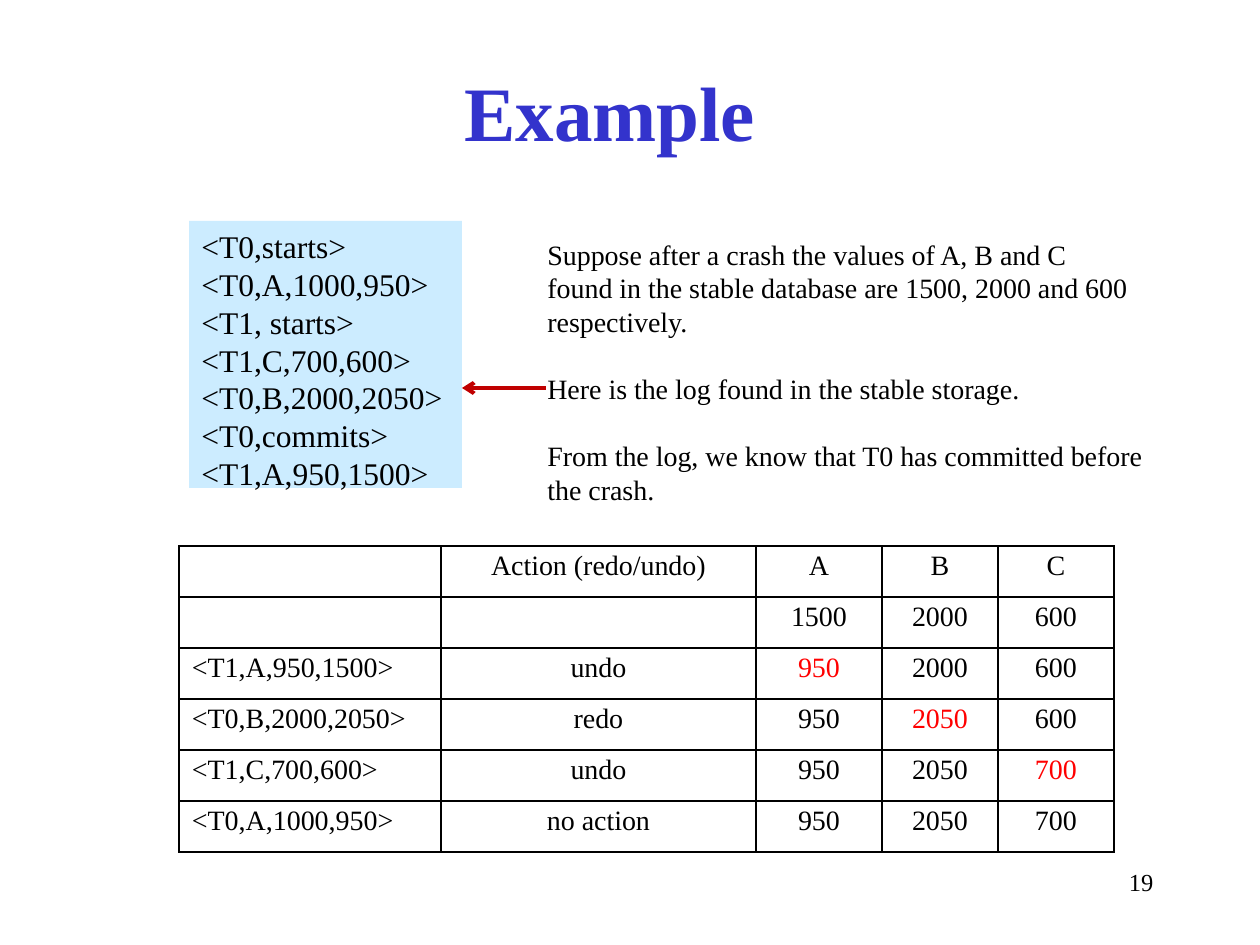
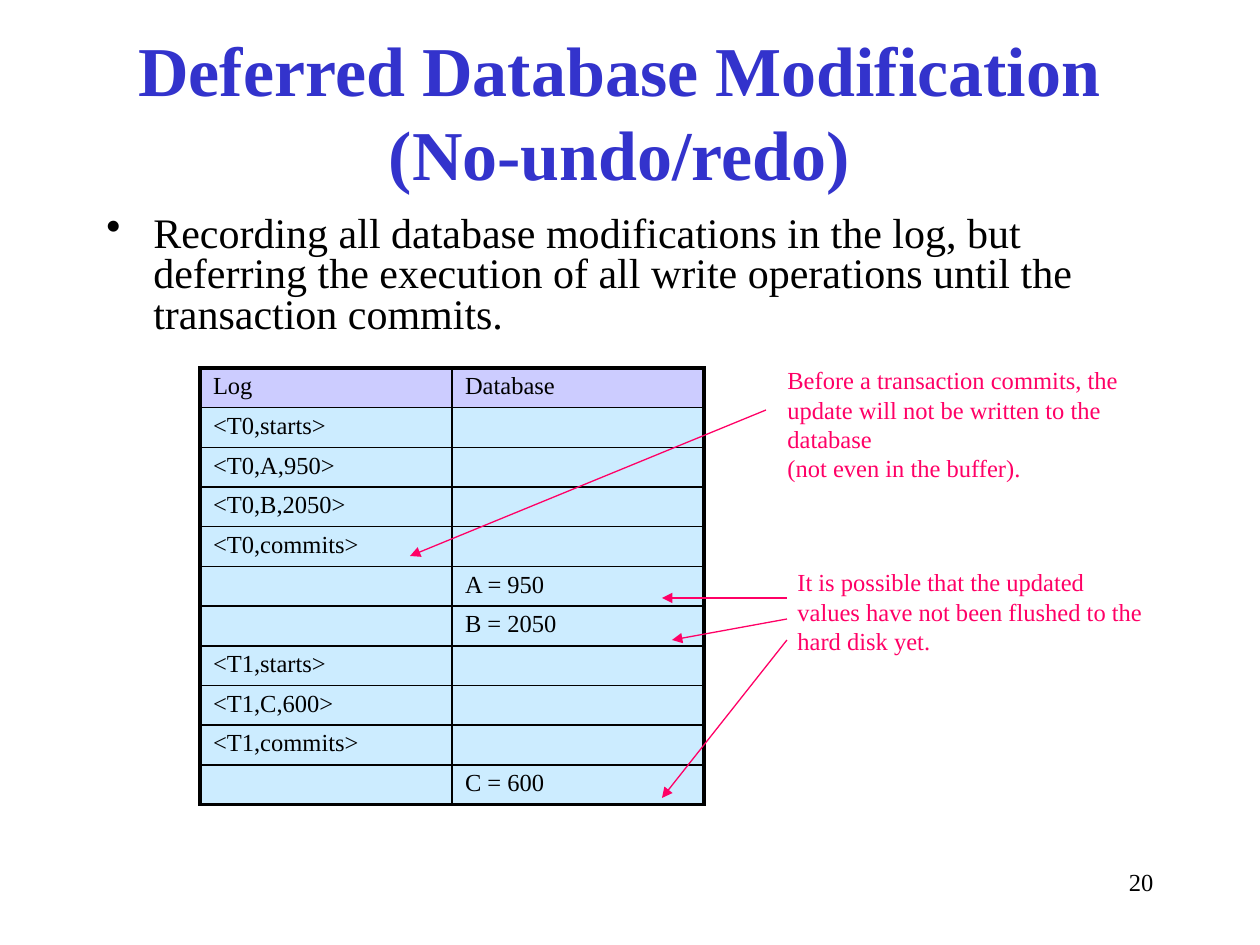
from lxml import etree
from pptx import Presentation
from pptx.dml.color import RGBColor
from pptx.enum.shapes import MSO_CONNECTOR, MSO_SHAPE
from pptx.enum.text import MSO_ANCHOR, MSO_AUTO_SIZE, PP_ALIGN
from pptx.oxml.ns import qn
from pptx.util import Emu, Pt

FONT = "Times New Roman"
LINE_HEIGHT = 1.2
COLOURS = {
    "title": "3333CC",
    "text": "000000",
    "log": "CCECFF",
    "header": "CCCCFF",
    "changed": "FF0000",
    "pointer": "C00000",
    "remark": "FF0066",
}


def px(length):
    """Convert pixels (126 to the inch) to EMU."""
    return Emu(round(length * 914400 / 126))


def box(*lengths):
    return [px(length) for length in lengths]


def rgb(name):
    return RGBColor.from_string(COLOURS[name])


# Text
def add_run(paragraph, text, size, colour="text", bold=False):
    run = paragraph.add_run()
    run.text = text
    formats = {"name": FONT, "size": Pt(size), "bold": bold}
    for attribute, value in formats.items():
        setattr(run.font, attribute, value)
    run.font.color.rgb = rgb(colour)


def write_blocks(frame, blocks, size, colour="text", align=PP_ALIGN.LEFT):
    """Write blocks of lines, with one line of space between blocks."""
    formats = {
        "word_wrap": True,
        "auto_size": MSO_AUTO_SIZE.NONE,
        "vertical_anchor": MSO_ANCHOR.TOP,
    }
    for attribute, value in formats.items():
        setattr(frame, attribute, value)
    paragraph = None
    for block in blocks:
        for position, line in enumerate(block):
            is_first = paragraph is None
            paragraph = frame.paragraphs[0] if is_first else frame.add_paragraph()
            paragraph.alignment = align
            if position == 0 and not is_first:
                paragraph.space_before = Pt(size * LINE_HEIGHT)
            add_run(paragraph, line, size, colour)


def add_note(slide, bounds, blocks, size, colour="text", align=PP_ALIGN.LEFT):
    note = slide.shapes.add_textbox(*box(*bounds))
    write_blocks(note.text_frame, blocks, size, colour, align)
    return note


def add_bullet(slide, bounds, text, size):
    note = add_note(slide, bounds, [[text]], size)
    paragraph = note.text_frame.paragraphs[0]
    paragraph.line_spacing = 0.8
    properties = paragraph._p.get_or_add_pPr()
    properties.set("marL", str(px(47)))
    properties.set("indent", str(px(-47)))
    etree.SubElement(properties, qn("a:buChar"), char="•")


def add_titled_slide(deck, title_text, title_size, number):
    """Add a slide with the shared title style and page number."""
    slide = deck.slides.add_slide(deck.slide_layouts[5])
    title = slide.shapes.title
    title.left, title.top, title.width, title.height = box(84, 32, 1071, 157)
    frame = title.text_frame
    formats = {
        "word_wrap": True,
        "auto_size": MSO_AUTO_SIZE.NONE,
        "vertical_anchor": MSO_ANCHOR.MIDDLE,
    }
    for attribute, value in formats.items():
        setattr(frame, attribute, value)
    frame.paragraphs[0].alignment = PP_ALIGN.CENTER
    add_run(frame.paragraphs[0], title_text, title_size, "title", bold=True)
    add_note(slide, (903, 861, 263, 63), [[str(number)]], 14, align=PP_ALIGN.RIGHT)
    return slide


# Shapes and arrows
def add_log_panel(slide, bounds, lines):
    panel = slide.shapes.add_shape(MSO_SHAPE.RECTANGLE, *box(*bounds))
    panel.shadow.inherit = False
    panel.fill.solid()
    panel.fill.fore_color.rgb = rgb("log")
    panel.line.fill.background()
    write_blocks(panel.text_frame, [lines], 18)


def add_arrow(slide, start, end, colour, width, head):
    arrow = slide.shapes.add_connector(MSO_CONNECTOR.STRAIGHT, *box(*start, *end))
    arrow.line.color.rgb = rgb(colour)
    arrow.line.width = Pt(width)
    etree.SubElement(arrow.line._get_or_add_ln(), qn("a:tailEnd"), type=head)
    etree.SubElement(arrow._element.spPr, qn("a:effectLst"))


# Tables
def set_borders(cell, widths):
    properties = cell._tc.get_or_add_tcPr()
    for side in "LRTB":
        border = etree.SubElement(
            properties, qn(f"a:ln{side}"), w=str(Pt(widths[side]))
        )
        fill = etree.SubElement(border, qn("a:solidFill"))
        etree.SubElement(fill, qn("a:srgbClr"), val=COLOURS["text"])


def add_grid(slide, left, top, column_widths, height, rows, size, look, outer=1):
    """Draw a table; look(row, column) gives text colour, fill and alignment."""
    table = slide.shapes.add_table(
        len(rows), len(column_widths), *box(left, top, sum(column_widths), height)
    ).table
    for flag in ("first_row", "horz_banding"):
        setattr(table, flag, False)
    for column, width in zip(table.columns, column_widths):
        column.width = px(width)
    margins = {
        "margin_left": px(13),
        "margin_right": px(13),
        "margin_top": px(5),
        "margin_bottom": px(4),
    }
    last_row, last_column = len(rows) - 1, len(column_widths) - 1
    for r, values in enumerate(rows):
        table.rows[r].height = px(height / len(rows))
        for c, text in enumerate(values):
            cell = table.cell(r, c)
            for attribute, value in margins.items():
                setattr(cell, attribute, value)
            edges = {"L": c == 0, "R": c == last_column, "T": r == 0, "B": r == last_row}
            set_borders(cell, {s: outer if edge else 1 for s, edge in edges.items()})
            colour, fill, align = look(r, c)
            if fill:
                cell.fill.solid()
                cell.fill.fore_color.rgb = rgb(fill)
            else:
                cell.fill.background()
            paragraph = cell.text_frame.paragraphs[0]
            paragraph.alignment = align
            if text:
                add_run(paragraph, text, size, colour)
            else:
                # Keeps the row of an empty cell as low as its neighbours
                paragraph._p.get_or_add_endParaRPr().set("sz", str(size * 100))


# Slides
def build_example(deck):
    slide = add_titled_slide(deck, "Example ", 44, 19)
    add_log_panel(slide, (189, 221, 273, 267), [
        "<T0,starts>",
        "<T0,A,1000,950>",
        "<T1, starts>",
        "<T1,C,700,600>",
        "<T0,B,2000,2050>",
        "<T0,commits>",
        "<T1,A,950,1500>",
    ])
    add_note(slide, (535, 231, 640, 285), [
        [
            "Suppose after a crash the values of A, B and C",
            "found in the stable database are 1500, 2000 and 600",
            "respectively.",
        ],
        ["Here is the log found in the stable storage."],
        ["From the log, we know that T0 has committed before", "the crash."],
    ], 16)
    add_arrow(slide, (546, 388), (462, 388), "pointer", 2.25, "arrow")

    recovery = [
        ["", "Action (redo/undo)", "A", "B", "C"],
        ["", "", "1500", "2000", "600"],
        ["<T1,A,950,1500>", "undo", "950", "2000", "600"],
        ["<T0,B,2000,2050>", "redo", "950", "2050", "600"],
        ["<T1,C,700,600>", "undo", "950", "2050", "700"],
        ["<T0,A,1000,950>", "no action", "950", "2050", "700"],
    ]

    def recovery_look(r, c):
        changed = r > 1 and c > 1 and recovery[r][c] != recovery[r - 1][c]
        align = PP_ALIGN.CENTER if c else PP_ALIGN.LEFT
        return "changed" if changed else "text", None, align

    add_grid(slide, 179, 546, [262, 315, 126, 116, 116], 306,
             recovery, 16, recovery_look)


def build_deferred(deck):
    slide = add_titled_slide(
        deck, "Deferred Database Modification (No-undo/redo)", 40, 20
    )
    add_bullet(
        slide, (94, 210, 1071, 147),
        "Recording all database modifications in the log, but deferring the "
        "execution of all write operations until the transaction commits.", 24,
    )

    writes = [
        ["Log", "Database"],
        ["<T0,starts>", ""],
        ["<T0,A,950>", ""],
        ["<T0,B,2050>", ""],
        ["<T0,commits>", ""],
        ["", "A = 950"],
        ["", "B = 2050"],
        ["<T1,starts>", ""],
        ["<T1,C,600>", ""],
        ["<T1,commits>", ""],
        ["", "C = 600"],
    ]

    def writes_look(r, c):
        return "text", "log" if r else "header", PP_ALIGN.LEFT

    add_grid(slide, 200, 368, [252, 252], 437, writes, 14, writes_look, outer=2.25)

    add_note(slide, (775, 359, 370, 130), [[
        "Before a transaction commits, the",
        "update will not be written to the database",
        "(not even in the buffer).",
    ]], 14, "remark")
    add_note(slide, (785, 561, 380, 101), [[
        "It is possible that the updated",
        "values have not been flushed to the",
        "hard disk yet.",
    ]], 14, "remark")
    for start, end in [
        ((766, 410), (410, 556)),
        ((787, 598), (662, 598)),
        ((787, 619), (672, 640)),
        ((787, 640), (662, 798)),
    ]:
        add_arrow(slide, start, end, "remark", 0.75, "triangle")


def main():
    deck = Presentation()
    deck.slide_width, deck.slide_height = box(1260, 945)
    build_example(deck)
    build_deferred(deck)
    deck.save("out.pptx")


if __name__ == "__main__":
    main()
